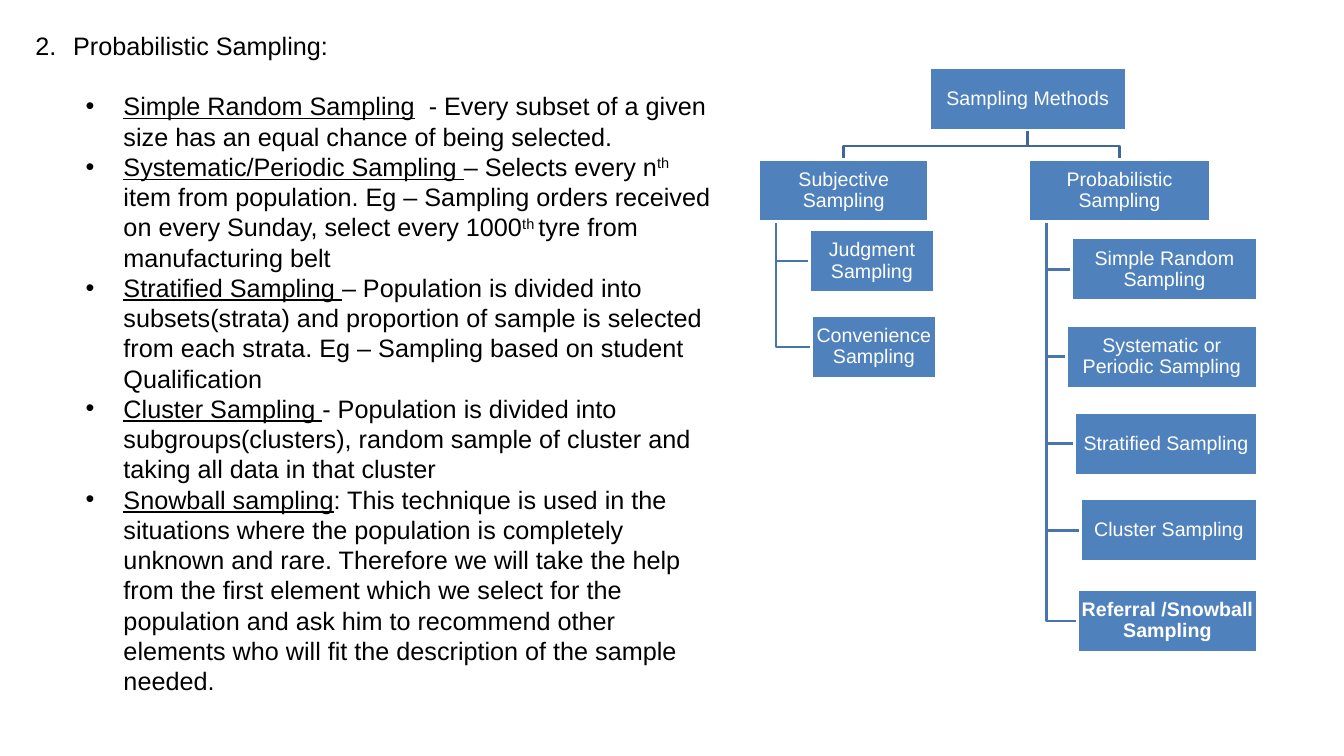
from dataclasses import dataclass

from lxml.etree import SubElement
from pptx import Presentation
from pptx.dml.color import RGBColor
from pptx.enum.shapes import MSO_SHAPE
from pptx.enum.text import MSO_ANCHOR, MSO_AUTO_SIZE, PP_ALIGN
from pptx.oxml.ns import qn
from pptx.util import Pt


@dataclass(frozen=True)
class Theme:
    """Hold the colours, font and sizes of the slide."""
    font: str = "Arial"
    ink: RGBColor = RGBColor(0, 0, 0)
    white: RGBColor = RGBColor(255, 255, 255)
    node: RGBColor = RGBColor(0x4F, 0x81, 0xBD)
    stem: RGBColor = RGBColor(0x3F, 0x67, 0x97)
    twig: RGBColor = RGBColor(0x48, 0x75, 0xAC)
    text: float = 18
    label: float = 14
    lead: float = 21.6
    line: float = 2


THEME = Theme()

POINTS = [
    [("Simple Random Sampling", "under"),
     ("  - Every subset of a given size has an equal chance of being selected.", "")],
    [("Systematic/Periodic Sampling ", "under"), ("– Selects every n", ""), ("th", "super"),
     (" item from population. Eg – Sampling orders received on every Sunday, "
      "select every 1000", ""),
     ("th ", "super"), ("tyre from manufacturing belt", "")],
    [("Stratified Sampling ", "under"),
     ("– Population is divided into subsets(strata) and proportion of sample is "
      "selected from each strata. Eg – Sampling based on student Qualification", "")],
    [("Cluster Sampling ", "under"),
     ("- Population is divided into subgroups(clusters), random sample of cluster "
      "and taking all data in that cluster", "")],
    [("Snowball sampling", "under"),
     (": This technique is used in the situations where the population is completely "
      "unknown and rare. Therefore we will take the help from the first element which "
      "we select for the population and ask him to recommend other elements who will "
      "fit the description of the sample needed.", "")],
]

HIGH = 44.64
ROOT = ("Sampling Methods", 121.7, 0, 140.4)
TREE = [
    (("Subjective Sampling", 0, 65.5, 121), [
        ("Judgment Sampling", 36, 116, 89.3),
        ("Convenience Sampling", 37.4, 177.3, 89.3)]),
    (("Probabilistic Sampling", 192.3, 65.5, 130.3), [
        ("Simple Random Sampling", 223.4, 121.8, 132.4),
        ("Systematic or Periodic Sampling", 219.7, 184.4, 136.1),
        ("Stratified Sampling", 225.5, 246.4, 130.3),
        ("Cluster Sampling", 229.8, 308.2, 126),
        ("Referral /Snowball Sampling", 227.6, 373, 128.2)]),
]


def put(item, **values):
    """Set each given value as an attribute of the item."""
    for name, value in values.items():
        setattr(item, name, value)


def place(item, left, top, width, height):
    """Move and size an item, in points."""
    put(item, left=Pt(left), top=Pt(top), width=Pt(width), height=Pt(height))


def write(para, runs):
    """Fill a paragraph with styled runs of body text."""
    put(para, alignment=PP_ALIGN.LEFT, line_spacing=Pt(THEME.lead),
        space_before=Pt(0), space_after=Pt(0))
    for words, style in runs:
        run = para.add_run()
        run.text = words
        put(run.font, name=THEME.font, size=Pt(THEME.text), bold=False,
            underline=style == "under")
        run.font.color.rgb = THEME.ink
        if style == "super":
            run.font._element.set("baseline", "30000")


def mark(para, margin, tag, **values):
    """Give a paragraph a hanging bullet or number."""
    props = para._p.get_or_add_pPr()
    props.set("marL", str(Pt(margin)))
    props.set("indent", str(Pt(-27)))
    SubElement(props, qn("a:buFont")).set("typeface", THEME.font)
    bullet = SubElement(props, qn(tag))
    for name, value in values.items():
        bullet.set(name, value)


def notes(slide, left, top, width, height):
    """Place the numbered title and the bullet list."""
    title, body = slide.shapes.title, slide.placeholders[1]
    skip = 2 * THEME.lead
    place(title, left, top, width, skip)
    place(body, left, top + skip, width, height - skip)
    for item in (title, body):
        put(item.text_frame, word_wrap=True, auto_size=MSO_AUTO_SIZE.NONE,
            vertical_anchor=MSO_ANCHOR.TOP, margin_left=Pt(7.2), margin_right=Pt(7.2),
            margin_top=Pt(3.6), margin_bottom=Pt(3.6))
    head = title.text_frame.paragraphs[0]
    write(head, [("Probabilistic Sampling:", "")])
    mark(head, 27, "a:buAutoNum", type="arabicPeriod", startAt="2")
    body.text_frame.paragraphs[0].level = 1
    for index, runs in enumerate(POINTS):
        frame = body.text_frame
        para = frame.add_paragraph() if index else frame.paragraphs[0]
        para.level = 1
        write(para, runs)
        mark(para, 63, "a:buChar", char="•")


def link(slide, color, *spots):
    """Draw an open bent line through the spots."""
    dots = [(Pt(x), Pt(y)) for x, y in spots]
    pen = slide.shapes.build_freeform(*dots[0])
    pen.add_line_segments(dots[1:], close=False)
    bent = pen.convert_to_shape()
    bent.fill.background()
    bent.shadow.inherit = False
    bent.line.color.rgb = color
    bent.line.width = Pt(THEME.line)


def box(slide, words, left, top, width, bold):
    """Draw one labelled node."""
    node = slide.shapes.add_shape(MSO_SHAPE.RECTANGLE, Pt(left), Pt(top), Pt(width), Pt(HIGH))
    node.shadow.inherit = False
    node.fill.solid()
    node.fill.fore_color.rgb = THEME.node
    node.line.color.rgb = THEME.white
    node.line.width = Pt(THEME.line)
    frame = node.text_frame
    put(frame, word_wrap=True, vertical_anchor=MSO_ANCHOR.MIDDLE, margin_left=Pt(0.7),
        margin_right=Pt(0.7), margin_top=Pt(0.7), margin_bottom=Pt(0.7))
    para = frame.paragraphs[0]
    put(para, text=words, alignment=PP_ALIGN.CENTER, line_spacing=0.9)
    put(para.font, name=THEME.font, size=Pt(THEME.label), bold=bold)
    para.font.color.rgb = THEME.white


def chart(slide, left, top):
    """Draw the tree of methods from its top left corner."""
    def move(node):
        """Shift a node into the region."""
        words, x, y, width = node
        return words, left + x, top + y, width

    root = move(ROOT)
    nodes = [root]
    mid = root[1] + root[3] / 2
    for parent, kids in TREE:
        words, x, y, width = move(parent)
        nodes.append((words, x, y, width))
        end, bend = x + width / 2, y - 9.4
        link(slide, THEME.stem, (mid, root[2] + HIGH), (mid, bend), (end, bend), (end, y))
        trunk = x + width / 10
        for kid in map(move, kids):
            nodes.append(kid)
            level = kid[2] + HIGH / 2
            link(slide, THEME.twig, (trunk, y + HIGH), (trunk, level), (kid[1], level))
    for node in nodes:
        box(slide, *node, bold=node is nodes[-1])


def main():
    """Build and save the slide."""
    deck = Presentation()
    put(deck, slide_width=Pt(960), slide_height=Pt(540))
    slide = deck.slides.add_slide(deck.slide_layouts[1])
    notes(slide, 18, 18, 504, 516)
    chart(slide, 542.2, 48.2)
    deck.save("out.pptx")


if __name__ == "__main__":
    main()
